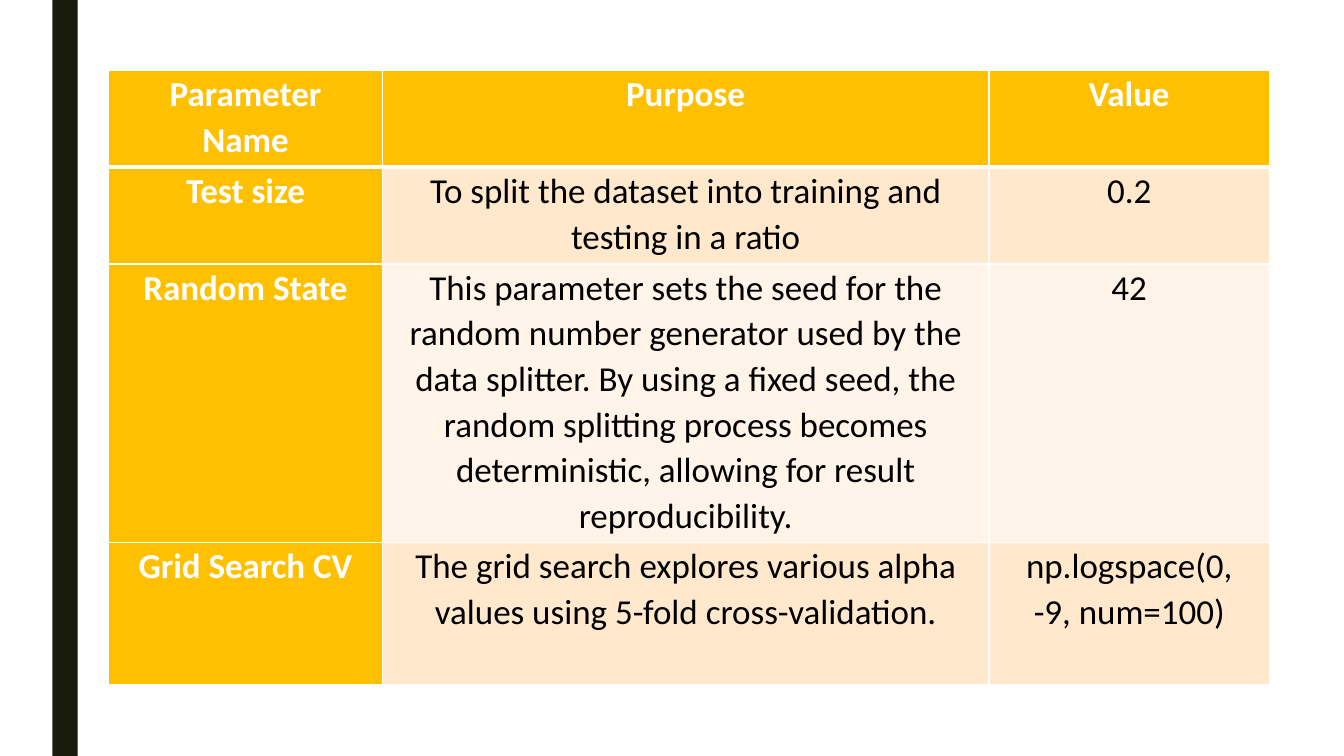
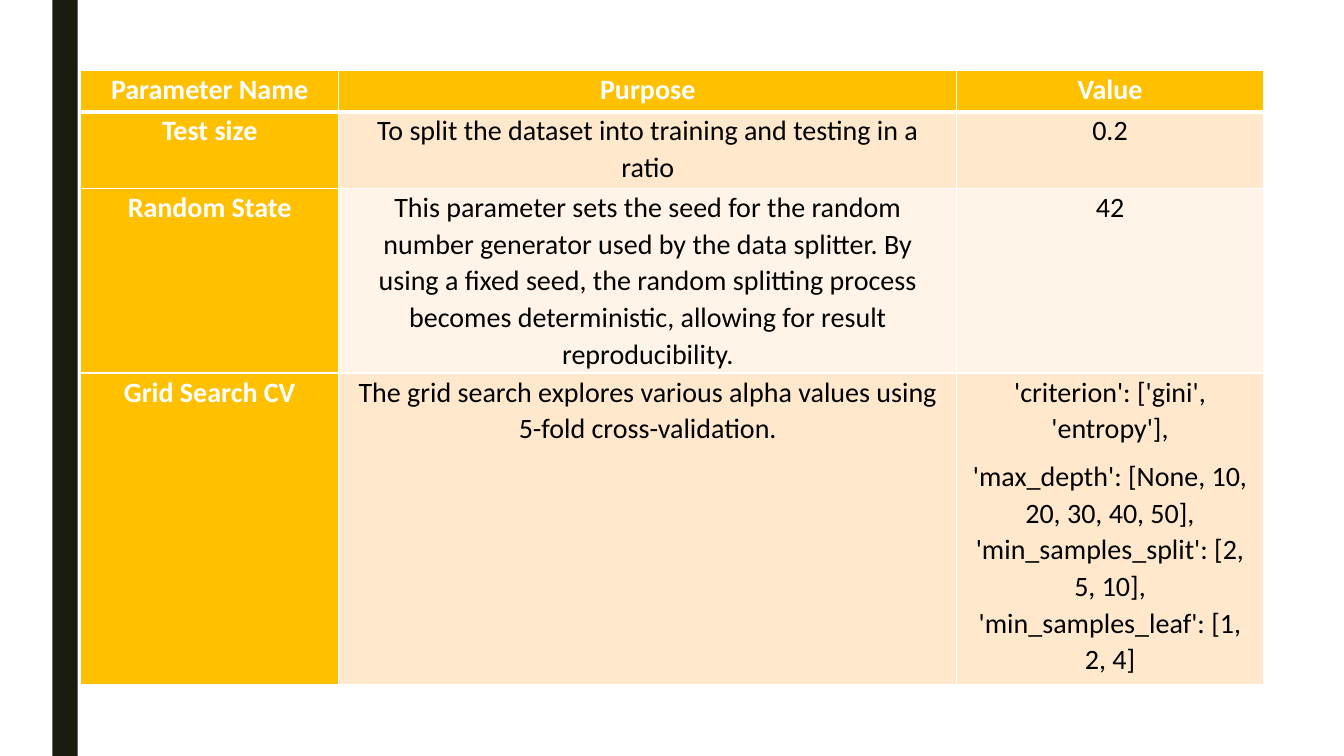
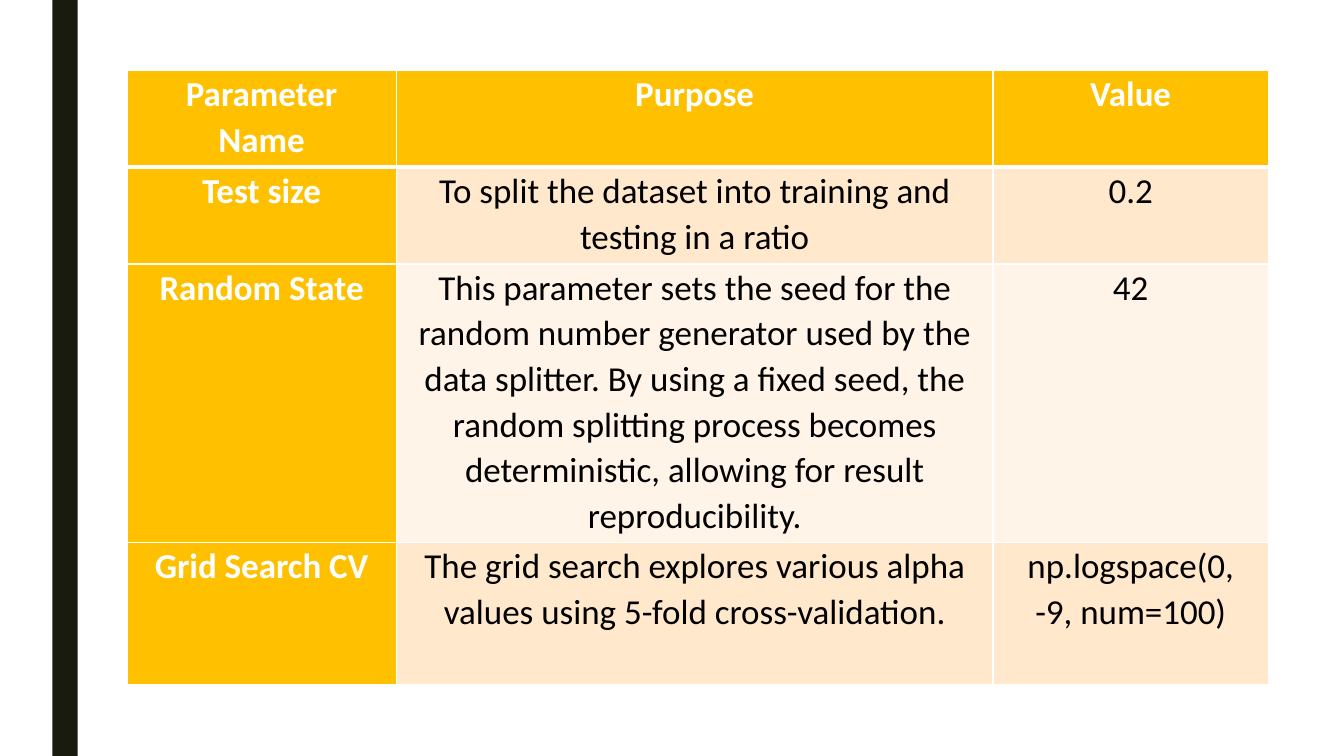
from dataclasses import dataclass

from lxml.etree import SubElement
from pptx import Presentation
from pptx.dml.color import RGBColor
from pptx.enum.shapes import MSO_SHAPE as Shape
from pptx.enum.text import MSO_ANCHOR as Anchor, PP_ALIGN as Align
from pptx.oxml.ns import qn
from pptx.util import Inches, Pt


@dataclass(frozen=True)
class Theme:
    font: str = "Calibri"
    large: int = 25
    small: int = 20
    line_spacing: float = 1.07
    space_after: int = 8
    thin_border: int = 1
    header_border: int = 3
    white: str = "FFFFFF"
    ink: str = "000000"
    side_band: str = "191B0E"
    accent: str = "FFC000"
    odd_row: str = "FFE8CC"
    even_row: str = "FFF4E7"


THEME = Theme()
SLIDE_WIDTH, SLIDE_HEIGHT = 13.33, 7.5
TABLE_TOP = 0.7

SHARED_ROWS = [
    ["Parameter Name", "Purpose", "Value"],
    ["Test size", "To split the dataset into training and testing in a ratio", "0.2"],
    [
        "Random State",
        "This parameter sets the seed for the random number generator used by the "
        "data splitter. By using a fixed seed, the random splitting process becomes "
        "deterministic, allowing for result reproducibility.",
        "42",
    ],
]
GRID_SEARCH = [
    "Grid Search CV",
    "The grid search explores various alpha values using 5-fold cross-validation.",
]
ALPHA_GRID = "np.logspace(0, -9, num=100)"
TREE_GRID = (
    "'criterion': ['gini', 'entropy'],\n"
    "'max_depth': [None, 10, 20, 30, 40, 50], "
    "'min_samples_split': [2, 5, 10], "
    "'min_samples_leaf': [1, 2, 4]"
)


@dataclass(frozen=True)
class TableLayout:
    left: float
    columns: tuple
    rows: tuple
    text_size: int
    side_margin: float


LARGE_ROWS = (0.96, 0.96, 2.76, 1.41)
SMALL_ROWS = (0.41, 0.76, 1.83, 3.09)
PARAMETER_TABLES = [
    (TableLayout(1.08, (2.71, 6.02, 2.78), LARGE_ROWS, THEME.large, 0.16), ALPHA_GRID),
    (TableLayout(0.8, (2.56, 6.13, 3.04), SMALL_ROWS, THEME.small, 0.13), TREE_GRID),
    (TableLayout(1.26, (2.67, 5.92, 2.73), LARGE_ROWS, THEME.large, 0.16), ALPHA_GRID),
]


def rgb(value):
    return RGBColor.from_string(value)


def add_side_band(page):
    band = page.shapes.add_shape(
        Shape.RECTANGLE, Inches(0.52), 0, Inches(0.25), Inches(SLIDE_HEIGHT)
    )
    band.shadow.inherit = False
    band.fill.solid()
    band.fill.fore_color.rgb = rgb(THEME.side_band)
    band.line.fill.background()


def set_borders(cell, row):
    """Draw white cell edges, with a heavier rule between header and body."""
    heavy_edge = {0: "B", 1: "T"}.get(row)
    properties = cell._tc.get_or_add_tcPr()
    for edge in "LRTB":
        width = THEME.header_border if edge == heavy_edge else THEME.thin_border
        line = SubElement(properties, qn(f"a:ln{edge}"), w=str(Pt(width)))
        fill = SubElement(line, qn("a:solidFill"))
        SubElement(fill, qn("a:srgbClr"), val=THEME.white)


def write_cell(cell, text, layout, is_heading):
    cell.margin_left = cell.margin_right = Inches(layout.side_margin)
    cell.margin_top = cell.margin_bottom = 0
    cell.vertical_anchor = Anchor.TOP
    cell.text = text
    for para in cell.text_frame.paragraphs:
        para.alignment = Align.CENTER
        para.line_spacing = THEME.line_spacing
        para.space_after = Pt(THEME.space_after)
        para.font.name = THEME.font
        para.font.size = Pt(layout.text_size)
        para.font.bold = is_heading
        para.font.color.rgb = rgb(THEME.white if is_heading else THEME.ink)


def fill_cell(cell, row, is_heading):
    body_color = THEME.odd_row if row % 2 else THEME.even_row
    cell.fill.solid()
    cell.fill.fore_color.rgb = rgb(THEME.accent if is_heading else body_color)


def add_parameter_table(page, layout, content):
    table = page.shapes.add_table(
        len(layout.rows),
        len(layout.columns),
        Inches(layout.left),
        Inches(TABLE_TOP),
        Inches(sum(layout.columns)),
        Inches(sum(layout.rows)),
    ).table
    table.first_col = True
    for column, width in zip(table.columns, layout.columns):
        column.width = Inches(width)
    for row, height in zip(table.rows, layout.rows):
        row.height = Inches(height)
    for row, texts in enumerate(content):
        for column, text in enumerate(texts):
            cell = table.cell(row, column)
            is_heading = row == 0 or column == 0
            write_cell(cell, text, layout, is_heading)
            set_borders(cell, row)
            fill_cell(cell, row, is_heading)


def main():
    deck = Presentation()
    deck.slide_width = Inches(SLIDE_WIDTH)
    deck.slide_height = Inches(SLIDE_HEIGHT)
    blank = deck.slide_layouts[6]
    for layout, search_grid in PARAMETER_TABLES:
        page = deck.slides.add_slide(blank)
        add_side_band(page)
        add_parameter_table(page, layout, SHARED_ROWS + [GRID_SEARCH + [search_grid]])
    deck.save("out.pptx")


if __name__ == "__main__":
    main()
